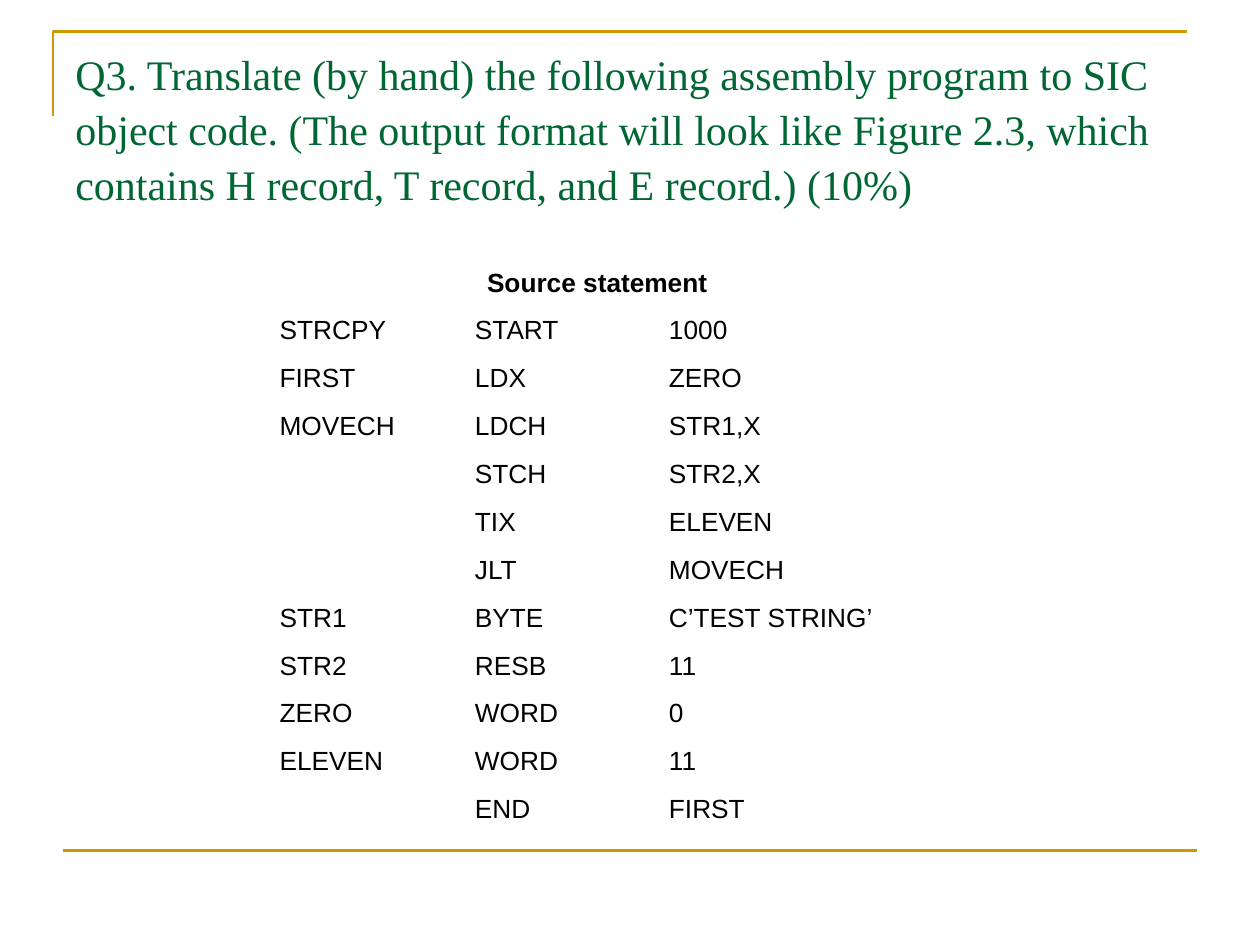
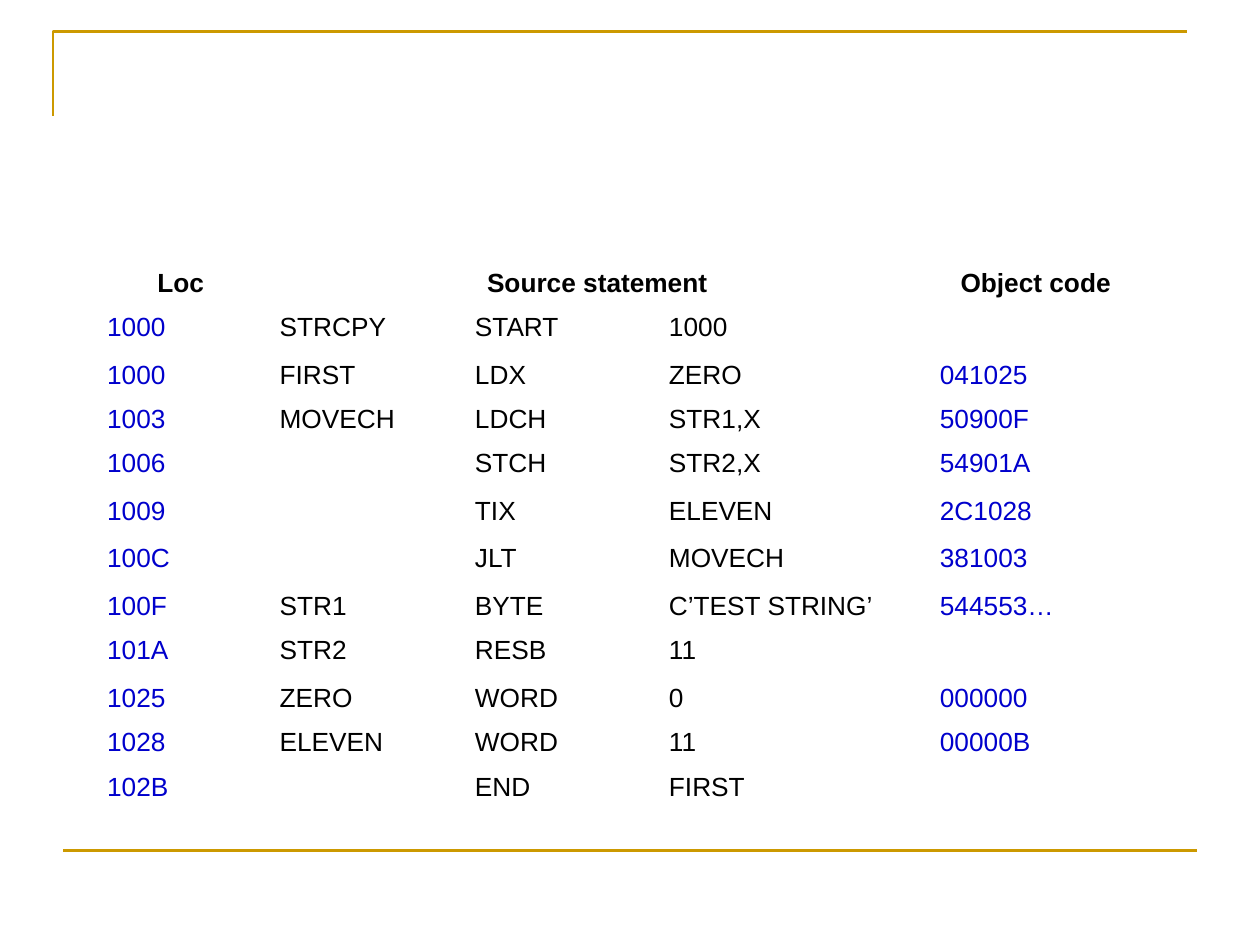
"""Build two slides: a SIC assembly exercise and its assembled object code."""
from dataclasses import dataclass
from typing import NamedTuple

from lxml.etree import SubElement
from pptx import Presentation
from pptx.dml.color import RGBColor
from pptx.enum.shapes import MSO_CONNECTOR
from pptx.enum.text import MSO_ANCHOR, PP_ALIGN
from pptx.oxml.ns import qn
from pptx.slide import Slide
from pptx.table import _Cell
from pptx.util import Inches, Pt


@dataclass(frozen=True)
class Theme:
    gold: RGBColor = RGBColor(0xCC, 0x99, 0x00)
    green: RGBColor = RGBColor(0x00, 0x66, 0x33)
    black: RGBColor = RGBColor(0x00, 0x00, 0x00)
    blue: RGBColor = RGBColor(0x00, 0x00, 0xCC)
    title_font: str = "Times New Roman"
    body_font: str = "Arial"
    title_size: Pt = Pt(24)
    body_size: Pt = Pt(15)
    rule_width: Pt = Pt(1.5)
    answer_gap: Pt = Pt(3.7)


class Statement(NamedTuple):
    loc: str
    label: str
    operation: str
    operand: str
    code: str


THEME = Theme()
COLUMN_WIDTHS = (1.37, 1.55, 1.54, 2.15, 1.72)
FULL_ROW, GAPPED_ROW = 0.35, 0.38
QUESTION = (
    "Q3. Translate (by hand) the following assembly program to SIC object code. "
    "(The output format will look like Figure 2.3, which contains H record, "
    "T record, and E record.) (10%)"
)
HEADER = Statement("Loc", "Source statement", "", "", "Object code")
PROGRAM = (
    Statement("1000", "STRCPY", "START", "1000", ""),
    Statement("1000", "FIRST", "LDX", "ZERO", "041025"),
    Statement("1003", "MOVECH", "LDCH", "STR1,X", "50900F"),
    Statement("1006", "", "STCH", "STR2,X", "54901A"),
    Statement("1009", "", "TIX", "ELEVEN", "2C1028"),
    Statement("100C", "", "JLT", "MOVECH", "381003"),
    Statement("100F", "STR1", "BYTE", "C’TEST STRING’", "544553…"),
    Statement("101A", "STR2", "RESB", "11", ""),
    Statement("1025", "ZERO", "WORD", "0", "000000"),
    Statement("1028", "ELEVEN", "WORD", "11", "00000B"),
    Statement("102B", "", "END", "FIRST", ""),
)


def apply_format(target: object, values: dict[str, object]) -> None:
    for attribute, value in values.items():
        setattr(target, attribute, value)


def draw_frame(slide: Slide) -> None:
    builder = slide.shapes.build_freeform(Inches(0.42), Inches(0.92), scale=1.0)
    builder.add_line_segments(
        [(Inches(0.42), Inches(0.25)), (Inches(9.42), Inches(0.25))], close=False
    )
    corner = builder.convert_to_shape()
    corner.fill.background()
    corner.shadow.inherit = False
    footer = slide.shapes.add_connector(
        MSO_CONNECTOR.STRAIGHT, Inches(0.5), Inches(6.75), Inches(9.5), Inches(6.75)
    )
    SubElement(footer.line._get_or_add_ln().getparent(), qn("a:effectLst"))
    for rule in (corner, footer):
        rule.line.color.rgb = THEME.gold
        rule.line.width = THEME.rule_width


def draw_title(slide: Slide, wording: str) -> None:
    frame = slide.shapes.add_textbox(
        Inches(0.5), Inches(0.3), Inches(9), Inches(1.25)
    ).text_frame
    apply_format(frame, {"word_wrap": True, "vertical_anchor": MSO_ANCHOR.TOP})
    paragraph = frame.paragraphs[0]
    paragraph.line_spacing = 1.09
    title = paragraph.add_run()
    title.text = wording
    apply_format(title.font, {"name": THEME.title_font, "size": THEME.title_size})
    title.font.color.rgb = THEME.green


def fill_cell(cell: _Cell, wording: str, is_header: bool, is_answer: bool) -> None:
    cell.fill.background()
    paragraph = cell.text_frame.paragraphs[0]
    if not wording:
        size = str(int(THEME.body_size.pt * 100))
        SubElement(paragraph._p, qn("a:endParaRPr"), sz=size)
        return
    if is_header:
        paragraph.alignment = PP_ALIGN.CENTER
    elif is_answer:
        paragraph.space_before = THEME.answer_gap
    entry = paragraph.add_run()
    entry.text = wording
    apply_format(
        entry.font,
        {"name": THEME.body_font, "size": THEME.body_size, "bold": is_header},
    )
    entry.font.color.rgb = THEME.blue if is_answer and not is_header else THEME.black


def draw_program(slide: Slide, show_answers: bool) -> None:
    lines = [HEADER, *PROGRAM]
    if not show_answers:
        lines = [line._replace(loc="", code="") for line in lines]
    heights = [
        FULL_ROW if all(line) or (show_answers and line is HEADER) else GAPPED_ROW
        for line in lines
    ]
    table = slide.shapes.add_table(
        len(lines), len(COLUMN_WIDTHS), Inches(0.75), Inches(2.08),
        Inches(sum(COLUMN_WIDTHS)), Inches(sum(heights)),
    ).table
    apply_format(table, {"first_row": False, "horz_banding": False})
    for column, width in zip(table.columns, COLUMN_WIDTHS):
        column.width = Inches(width)
    table.cell(0, 1).merge(table.cell(0, 3))
    answer_columns = (0, len(COLUMN_WIDTHS) - 1)
    for row_index, (line, height) in enumerate(zip(lines, heights)):
        table.rows[row_index].height = Inches(height)
        for column_index, wording in enumerate(line):
            fill_cell(
                table.cell(row_index, column_index), wording,
                row_index == 0, column_index in answer_columns,
            )


def main() -> None:
    deck = Presentation()
    apply_format(deck, {"slide_width": Inches(10), "slide_height": Inches(7.5)})
    for title, show_answers in ((QUESTION, False), ("", True)):
        slide = deck.slides.add_slide(deck.slide_layouts[6])
        draw_frame(slide)
        if title:
            draw_title(slide, title)
        draw_program(slide, show_answers)
    deck.save("out.pptx")


main()
